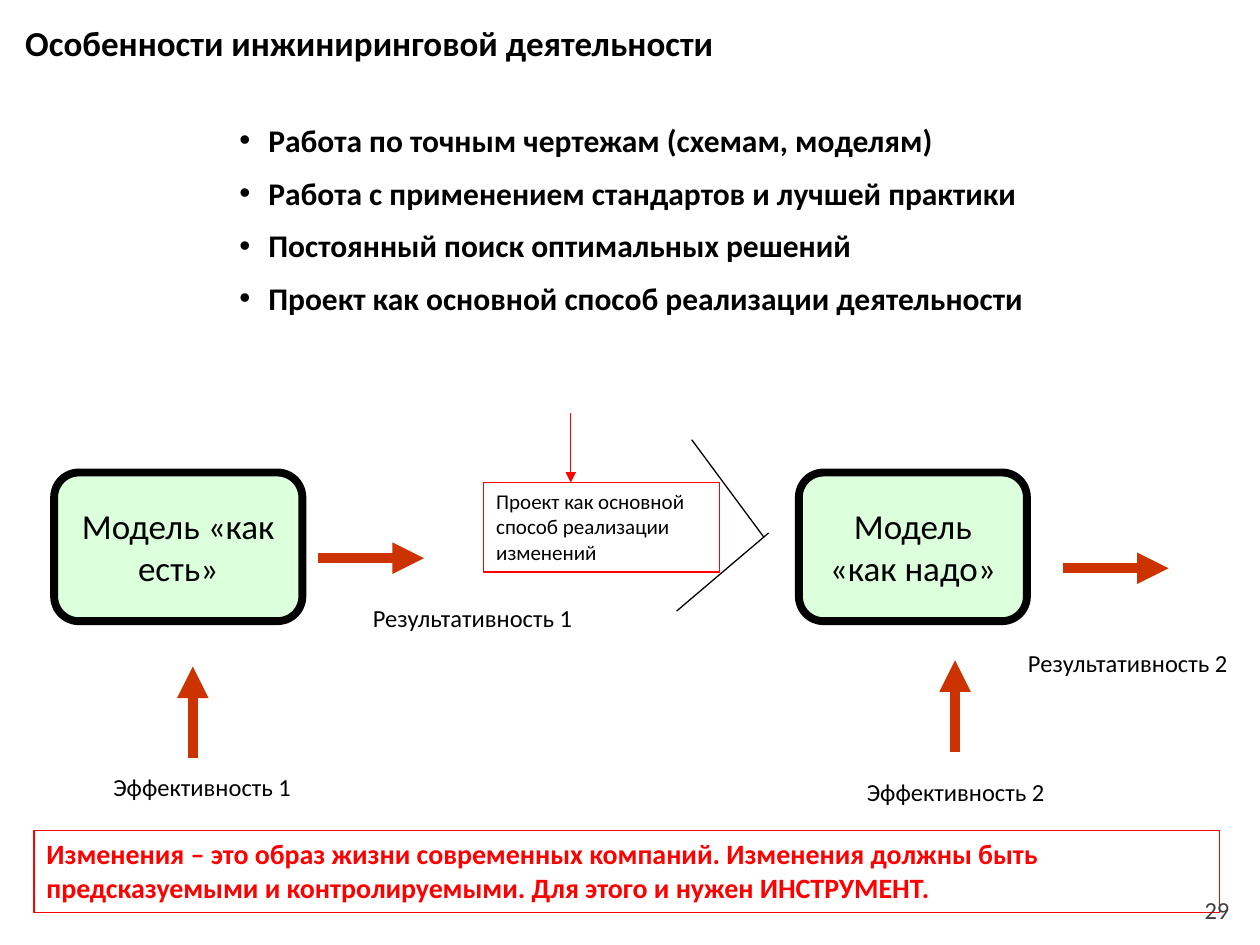
import collections
import pptx
import pptx.util
import pptx.dml.color
import pptx.enum.shapes
import pptx.enum.text
import pptx.oxml.ns
from lxml import etree

SHAPE = pptx.enum.shapes.MSO_SHAPE
ALIGN = pptx.enum.text.PP_ALIGN
ANCHOR = pptx.enum.text.MSO_ANCHOR
Pt = pptx.util.Pt

Theme = collections.namedtuple(
    "Theme", "font ink muted alarm arrow paper model heading bullet label note verdict")
THEME = Theme(font="Calibri", ink="000000", muted="404040", alarm="FF0000",
              arrow="CC3300", paper="FFFFFF", model="99FF99",
              heading=20, bullet=18, label=14, note=12, verdict=16)

# The slide is a grid of 100 columns by 75 rows
COLUMNS, ROWS = 100, 75
CELL = pptx.util.Inches(10) // COLUMNS

# left and top are grid positions; width and height are counts of cells
Box = collections.namedtuple("Box", "left top width height")


def within(region, left, top, width, height):
    return Box(region.left + left, region.top + top, width, height)


def grid(*cells):
    return [round(cell * CELL) for cell in cells]


def colour(code):
    return pptx.dml.color.RGBColor.from_string(code)


def add_element(parent, tag, **attributes):
    return etree.SubElement(parent, pptx.oxml.ns.qn(tag), attributes)


def write(para, text, size, code=THEME.ink, bold=False):
    span = para.add_run()
    span.text = text
    span.font.name = THEME.font
    span.font.size = Pt(size)
    span.font.bold = bold
    span.font.color.rgb = colour(code)


def place(shape, box):
    shape.left, shape.top, shape.width, shape.height = grid(*box)


def set_frame(shape, anchor=ANCHOR.TOP, margin=None):
    frame = shape.text_frame
    frame.word_wrap = True
    frame.auto_size = pptx.enum.text.MSO_AUTO_SIZE.NONE
    frame.vertical_anchor = anchor
    if margin is not None:
        frame.margin_left = frame.margin_right = margin
        frame.margin_top = frame.margin_bottom = margin
    return frame


def add_panel(page, box, kind=SHAPE.RECTANGLE, fill=None, line=None, weight=0.75):
    panel = page.shapes.add_shape(kind, *grid(*box))
    panel.shadow.inherit = False
    if fill:
        panel.fill.solid()
        panel.fill.fore_color.rgb = colour(fill)
    else:
        panel.fill.background()
    if line:
        panel.line.color.rgb = colour(line)
        panel.line.width = Pt(weight)
    else:
        panel.line.fill.background()
    return panel


def add_line(page, start, end, code, weight=0.75, arrow=False):
    line = page.shapes.add_connector(
        pptx.enum.shapes.MSO_CONNECTOR.STRAIGHT, *grid(*start, *end))
    line.line.color.rgb = colour(code)
    line.line.width = Pt(weight)
    if arrow:
        add_element(line.line._get_or_add_ln(), "a:tailEnd", type="triangle")
    add_element(line._element.spPr, "a:effectLst")


def add_heading(page, box, text):
    title = page.shapes.title
    place(title, box)
    para = set_frame(title, margin=0).paragraphs[0]
    para.alignment = ALIGN.LEFT
    write(para, text, THEME.heading, bold=True)


def add_features(page, box, features):
    body = page.placeholders[1]
    place(body, box)
    frame = set_frame(body)
    for number, feature in enumerate(features):
        para = frame.add_paragraph() if number else frame.paragraphs[0]
        properties = para._p.get_or_add_pPr()
        properties.set("marL", str(grid(5)[0]))
        properties.set("indent", str(grid(-2.3)[0]))
        add_element(properties, "a:buFont", typeface="Arial")
        add_element(properties, "a:buChar", char="•")
        para.space_before = Pt(8.5 if number else 0)
        write(para, feature, THEME.bullet, bold=True)


def add_label(page, box, text, fill=None, shift=0):
    label = add_panel(page, box, fill=fill)
    frame = set_frame(label)
    frame.margin_left += grid(shift)[0]
    para = frame.paragraphs[0]
    para.alignment = ALIGN.CENTER
    write(para, text, THEME.label)


def add_stage(page, box, name, number, out_row, up, result, effect, shift=0):
    """A model with its result arrow to the right and its input arrow below."""
    # Arrows
    out_left = box.left + 20.95
    add_line(page, (out_left, box.top + out_row), (out_left + 8.4, box.top + out_row),
             THEME.arrow, 6, arrow=True)
    up_left, up_top = box.left + up[0], box.top + up[1]
    add_line(page, (up_left, up_top + 7.3), (up_left, up_top), THEME.arrow, 6, arrow=True)
    # Labels
    add_label(page, within(box, *result, 3.3), f"Результативность {number}",
              THEME.paper, shift)
    add_label(page, within(box, *effect, 22.7, 3.3), f"Эффективность {number}")
    # Model
    model = add_panel(page, box, SHAPE.FLOWCHART_ALTERNATE_PROCESS,
                      THEME.model, THEME.ink, 4.5)
    tint = model._element.spPr.find(".//" + pptx.oxml.ns.qn("a:srgbClr"))
    add_element(tint, "a:alpha", val="34000")
    para = set_frame(model, ANCHOR.MIDDLE).paragraphs[0]
    para.alignment = ALIGN.CENTER
    write(para, name, THEME.heading)


def add_note(page, box, text, size, code=THEME.ink, bold=False):
    note = add_panel(page, box, line=THEME.alarm)
    para = set_frame(note).paragraphs[0]
    para.alignment = ALIGN.LEFT
    write(para, text, size, code, bold)


def add_transition(page, box, text):
    """The project note, the arrow down to it and the open chevron on its right."""
    add_note(page, box, text, THEME.note)
    for start, end in (((16.5, -3.4), (22.2, 4.3)), ((22.6, 4), (15.3, 10.2))):
        add_line(page, (box.left + start[0], box.top + start[1]),
                 (box.left + end[0], box.top + end[1]), THEME.ink)
    arrow_left = box.left + 6.9
    add_line(page, (arrow_left, box.top - 5.5), (arrow_left, box.top),
             THEME.alarm, arrow=True)


def add_page_number(page, box, text):
    number = page.shapes.add_textbox(*grid(*box))
    para = set_frame(number, margin=0).paragraphs[0]
    para._p.get_or_add_pPr().set("marL", str(grid(0.3)[0]))
    para.line_spacing = Pt(14.2)
    write(para, text, THEME.label, THEME.muted)


def main():
    deck = pptx.Presentation()
    deck.slide_width, deck.slide_height = grid(COLUMNS, ROWS)
    page = deck.slides.add_slide(deck.slide_layouts[1])

    add_heading(page, Box(2, 1.7, 90, 5.9), "Особенности инжиниринговой деятельности")
    add_features(page, Box(15.3, 9.1, 69.3, 23.6), (
        "Работа по точным чертежам (схемам, моделям)",
        "Работа с применением стандартов и лучшей практики",
        "Постоянный поиск оптимальных решений",
        "Проект как основной способ реализации деятельности"))
    add_stage(page, Box(4.3, 37.5, 19.7, 11.8), "Модель «как есть»", 1, out_row=6.8,
              up=(11, 15.4), result=(21.6, 9.9, 22.4), effect=(0.4, 23.3), shift=0.8)
    add_stage(page, Box(63.4, 37.5, 18.1, 11.8), "Модель «как надо»", 2, out_row=7.6,
              up=(12.4, 14.9), result=(14.8, 13.4, 21.8), effect=(1.1, 23.7), shift=0.8)
    add_transition(page, Box(38.4, 38.3, 18.7, 7.1),
                   "Проект как основной способ реализации изменений")
    add_note(page, Box(2.7, 65.9, 94.1, 6.5),
             "Изменения – это образ жизни современных компаний. Изменения должны быть "
             "предсказуемыми и контролируемыми. Для этого и нужен ИНСТРУМЕНТ.",
             THEME.verdict, THEME.alarm, bold=True)
    add_page_number(page, Box(95.3, 71.4, 2.5, 2.2), "29")
    deck.save("out.pptx")


if __name__ == "__main__":
    main()
